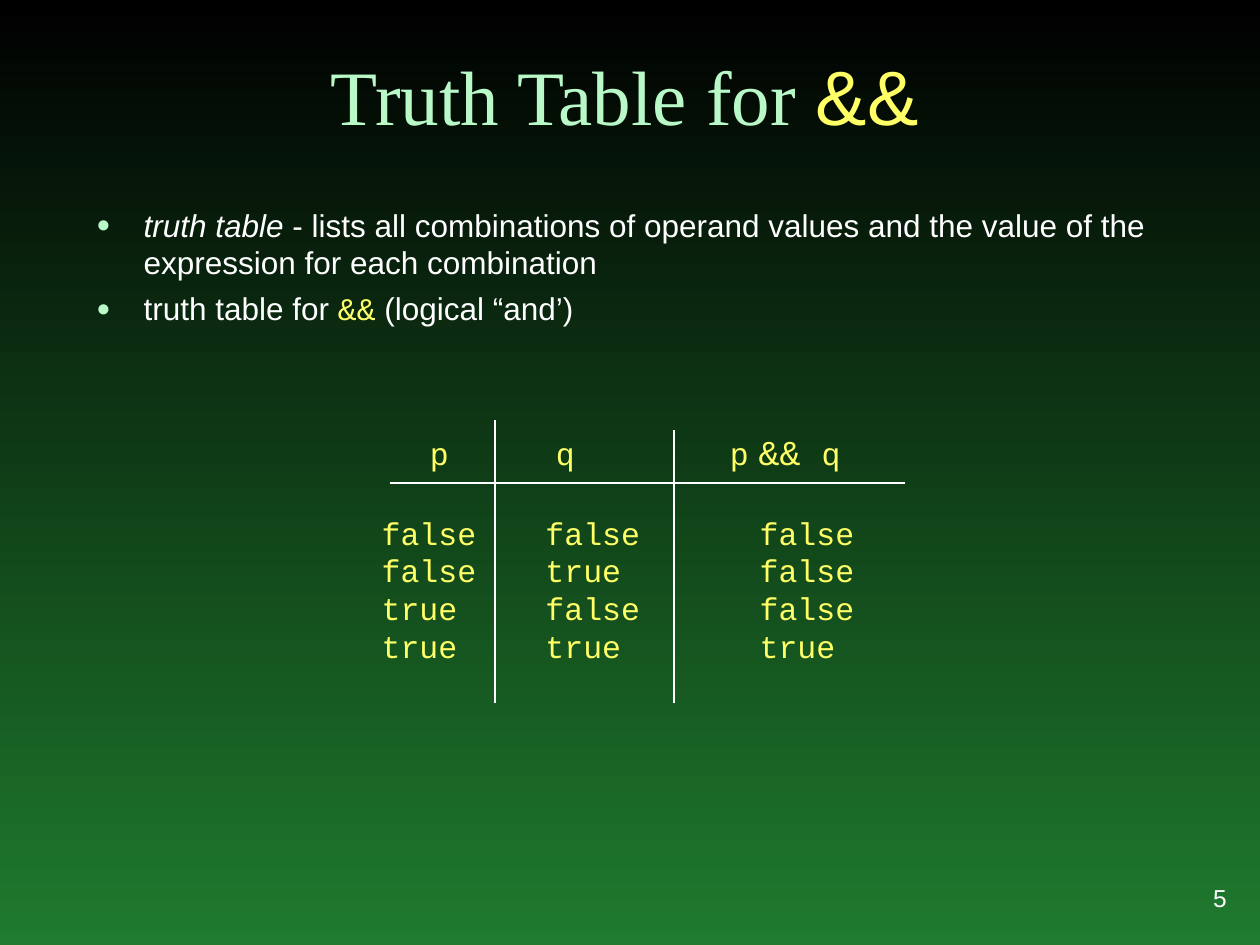
"""Build a slide that explains the truth table for the logical and operator."""
from dataclasses import dataclass

from lxml.etree import SubElement
from pptx import Presentation
from pptx.dml.color import RGBColor
from pptx.enum.shapes import MSO_CONNECTOR
from pptx.enum.text import MSO_ANCHOR, PP_ALIGN
from pptx.oxml.ns import qn
from pptx.slide import Slide
from pptx.text.text import TextFrame
from pptx.util import Pt

BLACK = RGBColor(0x00, 0x00, 0x00)
GREEN = RGBColor(0x1F, 0x7B, 0x2E)
MINT = RGBColor(0xB9, 0xF9, 0xC8)
YELLOW = RGBColor(0xFF, 0xFF, 0x66)
WHITE = RGBColor(0xFF, 0xFF, 0xFF)
SANS, MONO, SERIF = "Arial", "Courier New", "Times New Roman"
LINE_FACTOR = 1.2
BULLET_INDENT = 27


@dataclass(frozen=True)
class Span:
    text: str
    size: float = 18
    font: str = MONO
    color: RGBColor = YELLOW
    italic: bool = False


@dataclass(frozen=True)
class Para:
    spans: tuple[Span, ...]
    align: PP_ALIGN = PP_ALIGN.LEFT
    tabs: tuple[float, ...] = ()
    bullet: bool = False
    space_before: float = 0


@dataclass(frozen=True)
class Box:
    left: float
    top: float
    width: float
    height: float
    paras: tuple[Para, ...]
    anchor: MSO_ANCHOR = MSO_ANCHOR.TOP
    wrap: bool = False


@dataclass(frozen=True)
class Rule:
    x1: float
    y1: float
    x2: float
    y2: float


def plain(text: str, italic: bool = False) -> Span:
    """Return a white span of body text."""
    return Span(text, 18, SANS, WHITE, italic)


def add_para(frame: TextFrame, para: Para, first: bool) -> None:
    """Write one paragraph, run by run."""
    paragraph = frame.paragraphs[0] if first else frame.add_paragraph()
    paragraph.alignment = para.align
    paragraph.line_spacing = Pt(LINE_FACTOR * max(span.size for span in para.spans))
    paragraph.space_before = Pt(para.space_before)
    properties = paragraph._p.get_or_add_pPr()
    if para.bullet:
        properties.set("marL", str(Pt(BULLET_INDENT)))
        properties.set("indent", str(Pt(-BULLET_INDENT)))
        color = SubElement(properties, qn("a:buClr"))
        SubElement(color, qn("a:srgbClr"), val=str(MINT))
        SubElement(properties, qn("a:buSzPct"), val="75000")
        SubElement(properties, qn("a:buFont"), typeface=SANS)
        SubElement(properties, qn("a:buChar"), char="●")
    if para.tabs:
        stops = SubElement(properties, qn("a:tabLst"))
        for position in para.tabs:
            SubElement(stops, qn("a:tab"), pos=str(Pt(position)), algn="l")
    for span in para.spans:
        run = paragraph.add_run()
        run.text = span.text
        run.font.size = Pt(span.size)
        run.font.name = span.font
        run.font.color.rgb = span.color
        run.font.italic = span.italic


def add_box(page: Slide, box: Box) -> None:
    """Draw one text box."""
    shape = page.shapes.add_textbox(Pt(box.left), Pt(box.top), Pt(box.width), Pt(box.height))
    frame = shape.text_frame
    frame.word_wrap = box.wrap
    frame.vertical_anchor = box.anchor
    for index, para in enumerate(box.paras):
        add_para(frame, para, index == 0)


def add_rule(page: Slide, rule: Rule) -> None:
    """Draw one thin white line of the truth table."""
    line = page.shapes.add_connector(
        MSO_CONNECTOR.STRAIGHT, Pt(rule.x1), Pt(rule.y1), Pt(rule.x2), Pt(rule.y2))
    line.line.color.rgb = WHITE
    line.line.width = Pt(1)
    SubElement(line._element.spPr, qn("a:effectLst"))


def fill_background(page: Slide) -> None:
    """Shade the page from black at the top to green at the bottom."""
    fill = page.background.fill
    fill.gradient()
    fill.gradient_angle = 270
    for stop, position, color in zip(fill.gradient_stops, (0, 1), (BLACK, GREEN)):
        stop.position = position
        stop.color.rgb = color


TITLE = Box(48, 18, 618, 66, (
    Para((Span("Truth Table for ", 44, SERIF, MINT), Span("&&", 44, SANS)), PP_ALIGN.CENTER),
), MSO_ANCHOR.BOTTOM, True)

BODY = Box(48, 114, 618, 366, (
    Para((plain("truth table ", True),
          plain("- lists all combinations of operand values and the value of the "
                "expression for each combination")), bullet=True),
    Para((plain("truth table for "), Span("&&"), plain(" (logical “and’)")),
         bullet=True, space_before=4.5),
), wrap=True)

HEADER = Box(238.5, 242.5, 250, 31, (
    Para((Span("p"), Span("\t", 20, SANS), Span("q"), Span("\t", 20, SANS), Span("p"),
          Span(" ", 20, SANS), Span("&& ", 20), Span("q")), tabs=(72, 171.5)),
))

OPERANDS = (False, True)
ROWS = Box(211, 290, 284.5, 93.6, tuple(
    Para((Span("\t".join(str(value).lower() for value in (p, q, p and q))),),
         tabs=(93.6, 216))
    for p in OPERANDS for q in OPERANDS
))

PAGE_NUMBER = Box(612, 492, 96, 42, (
    Para((Span("5", 14, SANS, WHITE),), PP_ALIGN.RIGHT),
), MSO_ANCHOR.MIDDLE, True)

RULES = (
    Rule(223, 276, 517, 276),
    Rule(283, 240, 283, 402),
    Rule(385, 246, 385, 402),
)


def main() -> None:
    """Build and save the deck."""
    deck = Presentation()
    deck.slide_width, deck.slide_height = Pt(720), Pt(540)
    page = deck.slides.add_slide(deck.slide_layouts[6])
    fill_background(page)
    for box in (TITLE, BODY, HEADER, ROWS, PAGE_NUMBER):
        add_box(page, box)
    for rule in RULES:
        add_rule(page, rule)
    deck.save("out.pptx")


if __name__ == "__main__":
    main()
